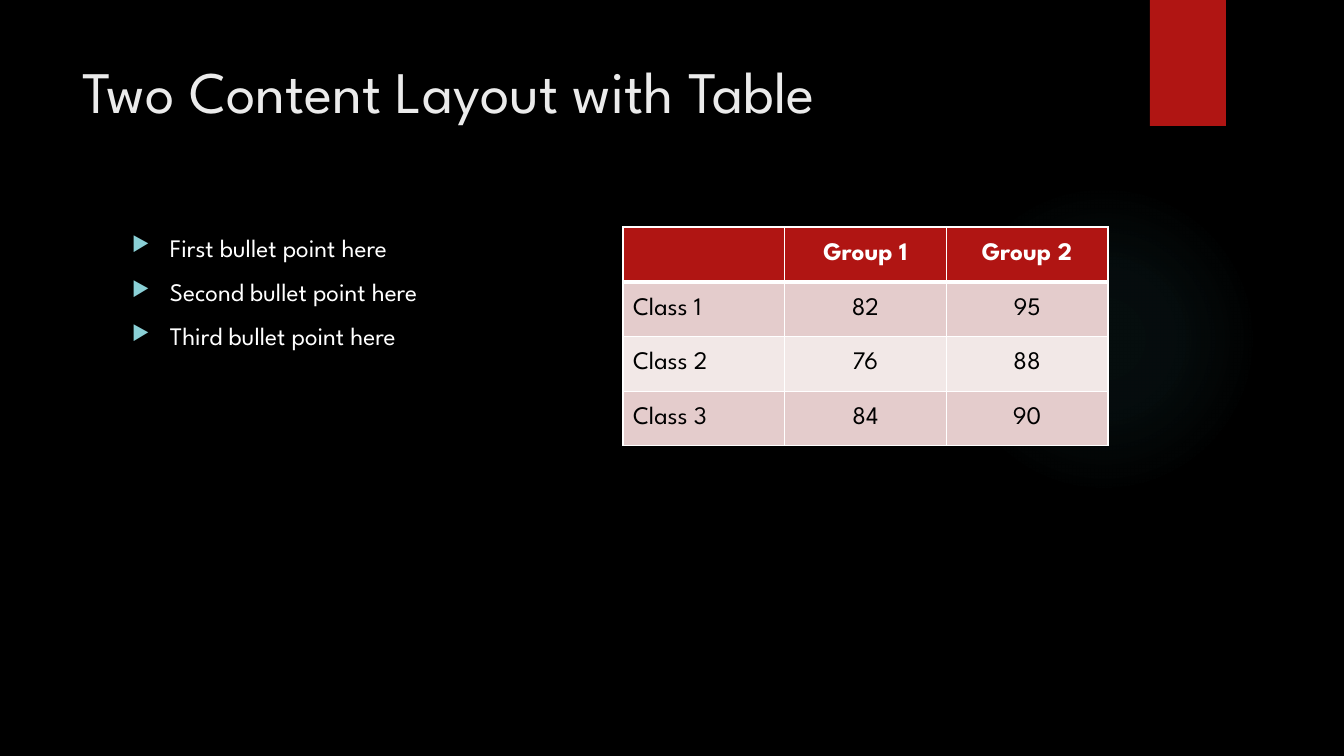
from pptx import Presentation
from pptx.dml.color import RGBColor
from pptx.enum.shapes import MSO_SHAPE
from pptx.enum.text import MSO_ANCHOR, PP_ALIGN
from pptx.oxml import parse_xml
from pptx.util import Emu, Pt

SCALE = 12192000 / 1344
FONT = "League Spartan"
NAMESPACE = 'xmlns:a="http://schemas.openxmlformats.org/drawingml/2006/main"'
COLORS = {
    "background": "000000",
    "title": "EBEBEB",
    "white": "FFFFFF",
    "black": "000000",
    "red": "B01513",
    "glow": "50B9C1",
    "bullet": "8AD0D6",
    "band_dark": "E4CCCC",
    "band_light": "F2E8E7",
}
BULLETS = ["First bullet point here", "Second bullet point here", "Third bullet point here"]
SCORES = [
    ["", "Group 1", "Group 2"],
    ["Class 1", "82", "95"],
    ["Class 2", "76", "88"],
    ["Class 3", "84", "90"],
]


def px(*lengths):
    return [Emu(round(length * SCALE)) for length in lengths]


def write(paragraph, text, size=18, color="white", bold=False, align=PP_ALIGN.LEFT):
    paragraph.alignment = align
    run = paragraph.add_run()
    run.text = text
    run.font.name = FONT
    run.font.size = Pt(size)
    run.font.bold = bold
    run.font.color.rgb = RGBColor.from_string(COLORS[color])


presentation = Presentation()
presentation.slide_width, presentation.slide_height = px(1344, 756)
slide = presentation.slides.add_slide(presentation.slide_layouts[5])
slide.background.fill.solid()
slide.background.fill.fore_color.rgb = RGBColor.from_string(COLORS["background"])

# Background decoration
glow = slide.shapes.add_shape(MSO_SHAPE.OVAL, *px(949, 184, 310, 310))
glow.shadow.inherit = False
glow.line.fill.background()
stops = "".join(
    f'<a:gs pos="{position * 1000}"><a:srgbClr val="{COLORS["glow"]}">'
    f'<a:alpha val="{opacity * 1000}"/></a:srgbClr></a:gs>'
    for position, opacity in [(0, 7), (36, 6), (69, 0)]
)
glow_fill = parse_xml(
    f'<a:gradFill {NAMESPACE}><a:gsLst>{stops}</a:gsLst><a:path path="circle">'
    '<a:fillToRect l="50000" t="50000" r="50000" b="50000"/></a:path></a:gradFill>'
)
glow.element.spPr.find(".//{*}prstGeom").addnext(glow_fill)

ribbon = slide.shapes.add_shape(MSO_SHAPE.RECTANGLE, *px(1150, 0, 76, 126))
ribbon.shadow.inherit = False
ribbon.line.fill.background()
ribbon.fill.solid()
ribbon.fill.fore_color.rgb = RGBColor.from_string(COLORS["red"])

# Title
title = slide.shapes.title
title.left, title.top, title.width, title.height = px(72, 50, 1037, 154)
title.text_frame.vertical_anchor = MSO_ANCHOR.TOP
write(title.text_frame.paragraphs[0], "Two Content Layout with Table", size=42, color="title")

# Bullet list
bullet_frame = slide.shapes.add_textbox(*px(122, 227, 485, 463)).text_frame
bullet_frame.word_wrap = True
for index, text in enumerate(BULLETS):
    paragraph = bullet_frame.add_paragraph() if index else bullet_frame.paragraphs[0]
    paragraph.space_before = Pt(10)
    write(paragraph, text)
    properties = paragraph._p.get_or_add_pPr()
    indent = px(38)[0]
    properties.set("marL", str(indent))
    properties.set("indent", str(-indent))
    for bullet_xml in (
        f'<a:buClr {NAMESPACE}><a:srgbClr val="{COLORS["bullet"]}"/></a:buClr>',
        f'<a:buSzPct {NAMESPACE} val="80000"/>',
        f'<a:buChar {NAMESPACE} char="▶"/>',
    ):
        properties.append(parse_xml(bullet_xml))

# Score table
table = slide.shapes.add_table(4, 3, *px(623, 227, 485, 219)).table
for row, values in enumerate(SCORES):
    header = row == 0
    fill_color = "red" if header else "band_dark" if row % 2 else "band_light"
    border_widths = {"L": 1, "R": 1, "T": 3 if row == 1 else 1, "B": 3 if header else 1}
    for column, text in enumerate(values):
        cell = table.cell(row, column)
        cell.vertical_anchor = MSO_ANCHOR.MIDDLE
        if text:
            write(
                cell.text_frame.paragraphs[0],
                text,
                color="white" if header else "black",
                bold=header,
                align=PP_ALIGN.CENTER if column else PP_ALIGN.LEFT,
            )
        for side, width in border_widths.items():
            cell._tc.get_or_add_tcPr().append(parse_xml(
                f'<a:ln{side} {NAMESPACE} w="{Pt(width)}"><a:solidFill>'
                f'<a:srgbClr val="{COLORS["white"]}"/></a:solidFill></a:ln{side}>'
            ))
        cell.fill.solid()
        cell.fill.fore_color.rgb = RGBColor.from_string(COLORS[fill_color])

presentation.save("out.pptx")
